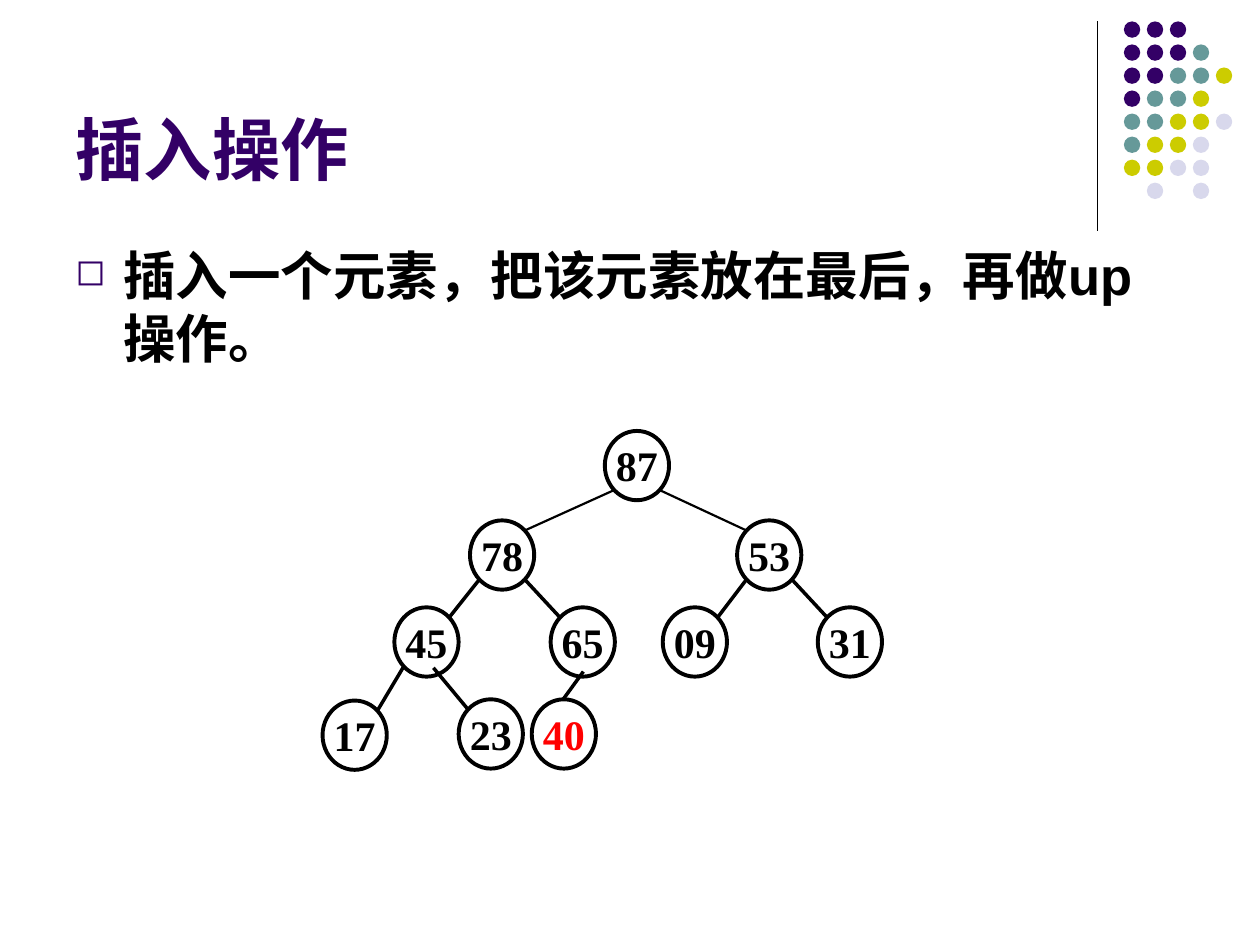
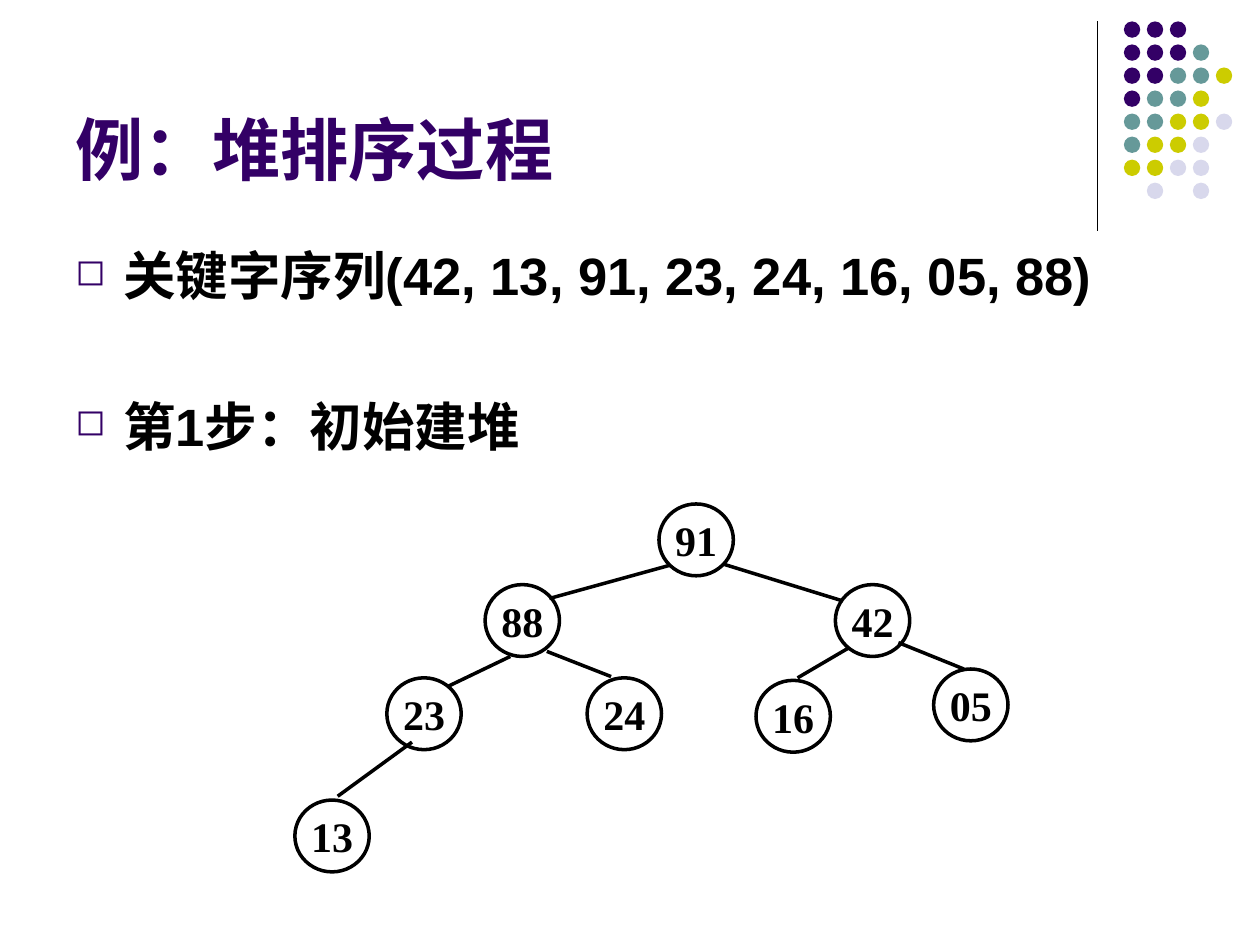
from dataclasses import dataclass

from lxml import etree
from pptx import Presentation
from pptx.dml.color import RGBColor
from pptx.enum.shapes import MSO_CONNECTOR, MSO_SHAPE
from pptx.enum.text import MSO_ANCHOR, PP_ALIGN
from pptx.oxml.ns import qn
from pptx.util import Inches, Pt

OVAL = MSO_SHAPE.OVAL
STRAIGHT = MSO_CONNECTOR.STRAIGHT
LEFT, CENTER = PP_ALIGN.LEFT, PP_ALIGN.CENTER
TOP, MIDDLE, BOTTOM = MSO_ANCHOR.TOP, MSO_ANCHOR.MIDDLE, MSO_ANCHOR.BOTTOM
TITLE_ONLY = 5


@dataclass(frozen=True)
class Theme:
    purple: str = "330066"
    teal: str = "669999"
    olive: str = "CCCC00"
    lavender: str = "D8D8EC"
    black: str = "000000"
    red: str = "FF0000"
    text_font: str = "Arial"
    node_font: str = "Times New Roman"
    title_size: float = 39
    body_size: float = 30
    node_size: float = 24
    rule_width: float = 0.75
    edge_width: float = 2
    thin_edge_width: float = 1.25


@dataclass(frozen=True)
class Node:
    left: float
    top: float
    color: str = Theme.black


@dataclass(frozen=True)
class Edge:
    parent: str
    child: str
    start: tuple = None
    end: tuple = None
    width: float = Theme.edge_width


@dataclass(frozen=True)
class Tree:
    width: float
    height: float
    outline: float
    nodes: dict
    edges: tuple
    line_spacing: float = None


THEME = Theme()

DOT_ROWS = ("PPP", "PPPT", "PPTTO", "PTTO", "TTOOL", "TOOL", "OOLL", ".L.L")
DOT_COLORS = {"P": THEME.purple, "T": THEME.teal, "O": THEME.olive, "L": THEME.lavender}
DOT_LEFT, DOT_TOP, DOT_SIZE = 8.92, 0.17, 0.13
DOT_COLUMN_STEP = (9.65 - DOT_LEFT) / 4
DOT_ROW_STEP = (1.45 - DOT_TOP) / 7
CORNER = (1 - 0.5 ** 0.5) / 2

INSERTION_TREE = Tree(
    0.51, 0.55, 2.25,
    {
        "87": Node(4.8, 3.42),
        "78": Node(3.73, 4.13),
        "53": Node(5.85, 4.13),
        "45": Node(3.13, 4.82),
        "65": Node(4.37, 4.82),
        "09": Node(5.26, 4.82),
        "31": Node(6.49, 4.82),
        "17": Node(2.56, 5.56),
        "23": Node(3.64, 5.55),
        "40": Node(4.22, 5.55, THEME.red),
    },
    (
        Edge("87", "78", width=THEME.thin_edge_width),
        Edge("87", "53", width=THEME.thin_edge_width),
        Edge("78", "45"),
        Edge("78", "65"),
        Edge("53", "09"),
        Edge("53", "31"),
        Edge("45", "17"),
        Edge("45", "23", start=(3.44, 5.3)),
        Edge("65", "40", (4.63, 5.33), (4.47, 5.55)),
    ),
    line_spacing=28,
)

INITIAL_HEAP = Tree(
    0.59, 0.57, 2,
    {
        "91": Node(5.23, 4),
        "88": Node(3.85, 4.64),
        "42": Node(6.63, 4.64),
        "23": Node(3.07, 5.38),
        "24": Node(4.66, 5.38),
        "16": Node(6, 5.4),
        "05": Node(7.41, 5.31),
        "13": Node(2.34, 6.35),
    },
    (
        Edge("91", "88", end=(4.36, 4.75)),
        Edge("91", "42", (5.75, 4.48), (6.69, 4.77)),
        Edge("88", "23", (4.05, 5.21), (3.55, 5.45)),
        Edge("88", "24", (4.34, 5.17), (4.85, 5.37)),
        Edge("42", "16", (6.74, 5.14), (6.33, 5.38)),
        Edge("42", "05", (7.13, 5.1), (7.65, 5.31)),
        Edge("23", "13", (3.27, 5.89), (2.68, 6.32)),
    ),
)


def apply_format(target, values):
    for name, value in values.items():
        setattr(target, name, value)


def format_font(font, name, size, color):
    apply_format(font, {"name": name, "size": Pt(size), "bold": True})
    font.color.rgb = RGBColor.from_string(color)


def place(shape, left, top, width, height):
    apply_format(shape, {
        "left": Inches(left), "top": Inches(top),
        "width": Inches(width), "height": Inches(height),
    })


def add_oval(shapes, left, top, width, height):
    oval = shapes.add_shape(OVAL, Inches(left), Inches(top), Inches(width), Inches(height))
    oval.shadow.inherit = False
    return oval


def add_line(shapes, start, end, width):
    line = shapes.add_connector(STRAIGHT, *(Inches(value) for value in (*start, *end)))
    line.line.color.rgb = RGBColor.from_string(THEME.black)
    line.line.width = Pt(width)
    properties = line._element.find(qn("p:spPr"))
    etree.SubElement(properties, qn("a:effectLst"))


def add_dot_pattern(slide):
    add_line(slide.shapes, (8.71, 0.17), (8.71, 1.83), THEME.rule_width)
    group = slide.shapes.add_group_shape()
    for row, keys in enumerate(DOT_ROWS):
        for column, key in enumerate(keys):
            if key not in DOT_COLORS:
                continue
            dot = add_oval(group.shapes, DOT_LEFT + column * DOT_COLUMN_STEP,
                           DOT_TOP + row * DOT_ROW_STEP, DOT_SIZE, DOT_SIZE)
            dot.fill.solid()
            dot.fill.fore_color.rgb = RGBColor.from_string(DOT_COLORS[key])
            dot.line.fill.background()


def set_title(slide, text):
    title = slide.shapes.title
    place(title, 0.5, 0.13, 8.25, 1.42)
    title.text_frame.text = text
    apply_format(title.text_frame, {"vertical_anchor": BOTTOM, "word_wrap": True})
    para = title.text_frame.paragraphs[0]
    para.alignment = LEFT
    format_font(para.runs[0].font, THEME.text_font, THEME.title_size, THEME.purple)


def add_bullet(para):
    properties = para._p.get_or_add_pPr()
    properties.set("marL", str(Inches(0.38)))
    properties.set("indent", str(-Inches(0.38)))
    color = etree.SubElement(properties, qn("a:buClr"))
    etree.SubElement(color, qn("a:srgbClr"), val=THEME.purple)
    etree.SubElement(properties, qn("a:buSzPct"), val="70000")
    etree.SubElement(properties, qn("a:buChar"), char="◻")


def add_body(slide, lines):
    box = slide.shapes.add_textbox(Inches(0.5), Inches(1.88), Inches(9), Inches(4.82))
    frame = box.text_frame
    apply_format(frame, {"word_wrap": True, "vertical_anchor": TOP})
    for index, text in enumerate(lines):
        para = frame.add_paragraph() if index else frame.paragraphs[0]
        add_bullet(para)
        if index:
            para.space_before = Pt(50)
        span = para.add_run()
        span.text = text
        format_font(span.font, THEME.text_font, THEME.body_size, THEME.black)


def add_node(shapes, tree, key, node):
    oval = add_oval(shapes, node.left, node.top, tree.width, tree.height)
    oval.fill.background()
    oval.line.color.rgb = RGBColor.from_string(THEME.black)
    oval.line.width = Pt(tree.outline)
    frame = oval.text_frame
    apply_format(frame, {
        "margin_left": 0, "margin_right": 0, "margin_top": 0, "margin_bottom": 0,
        "vertical_anchor": MIDDLE, "word_wrap": False,
    })
    para = frame.paragraphs[0]
    para.alignment = CENTER
    if tree.line_spacing:
        para.line_spacing = Pt(tree.line_spacing)
    span = para.add_run()
    span.text = key
    format_font(span.font, THEME.node_font, THEME.node_size, node.color)


def corner_of(tree, node, right, bottom):
    across = 1 - CORNER if right else CORNER
    down = 1 - CORNER if bottom else CORNER
    return node.left + tree.width * across, node.top + tree.height * down


def add_tree(slide, tree):
    shapes = slide.shapes.add_group_shape().shapes
    for key, node in tree.nodes.items():
        add_node(shapes, tree, key, node)
    for edge in tree.edges:
        parent, child = tree.nodes[edge.parent], tree.nodes[edge.child]
        goes_right = child.left > parent.left
        start = edge.start or corner_of(tree, parent, goes_right, True)
        end = edge.end or corner_of(tree, child, not goes_right, False)
        add_line(shapes, start, end, edge.width)


def add_tree_slide(deck, title, lines, tree):
    slide = deck.slides.add_slide(deck.slide_layouts[TITLE_ONLY])
    add_dot_pattern(slide)
    set_title(slide, title)
    add_body(slide, lines)
    add_tree(slide, tree)


def main():
    deck = Presentation()
    apply_format(deck, {"slide_width": Inches(10), "slide_height": Inches(7.5)})
    add_tree_slide(deck, "插入操作", ["插入一个元素，把该元素放在最后，再做up操作。"], INSERTION_TREE)
    add_tree_slide(
        deck, "例：堆排序过程",
        ["关键字序列(42, 13, 91, 23, 24, 16, 05, 88)", "第1步：初始建堆"],
        INITIAL_HEAP,
    )
    deck.save("out.pptx")


if __name__ == "__main__":
    main()
